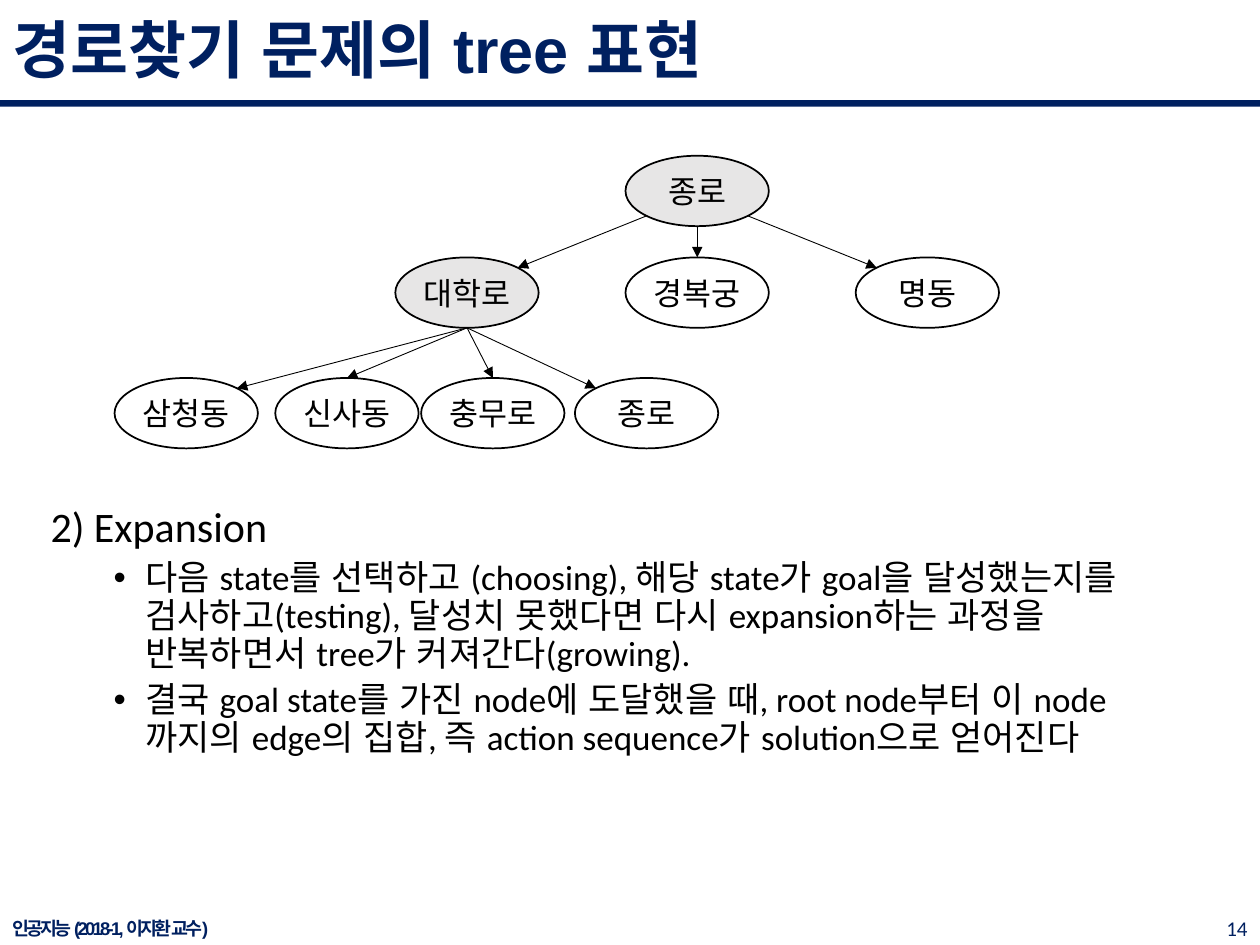
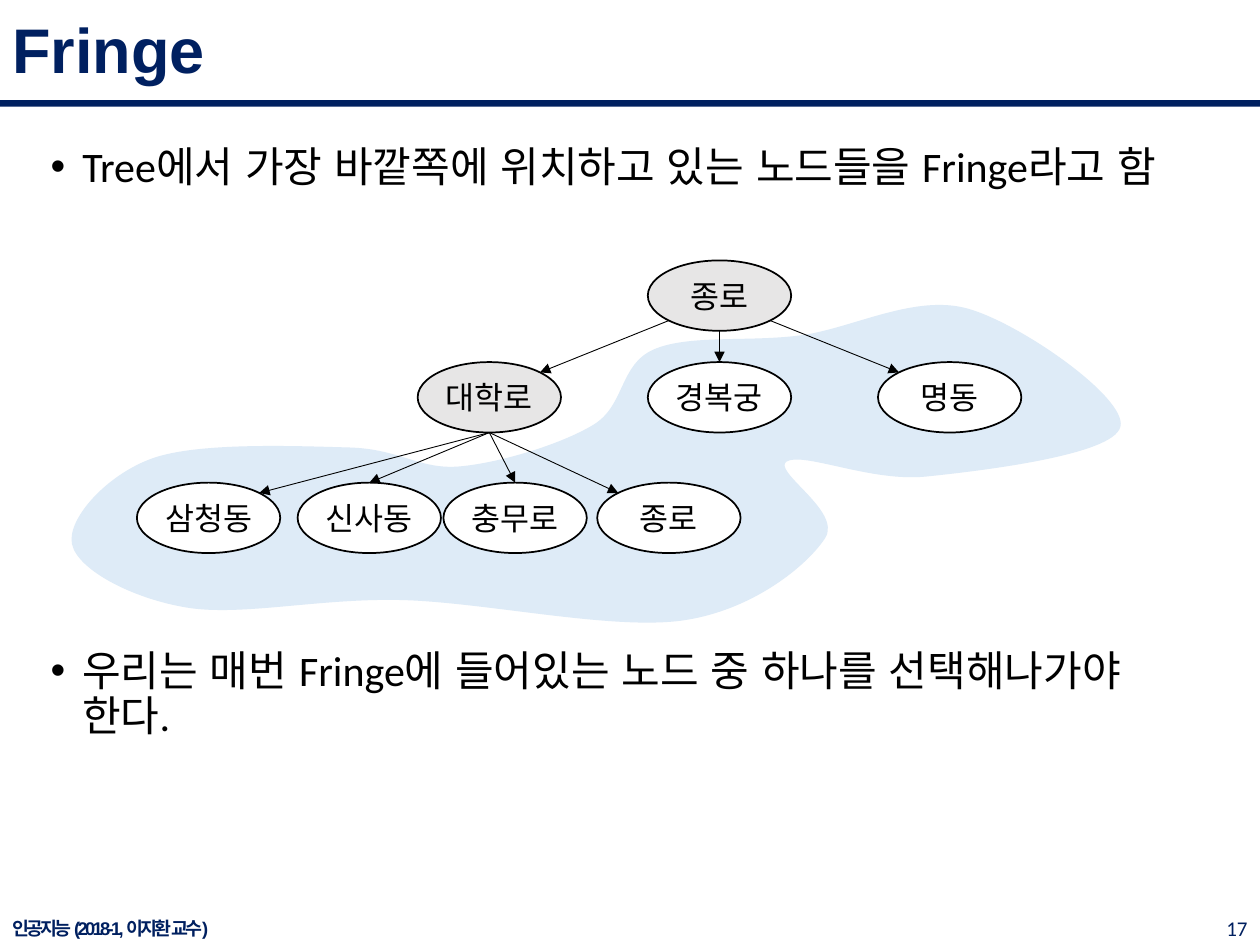
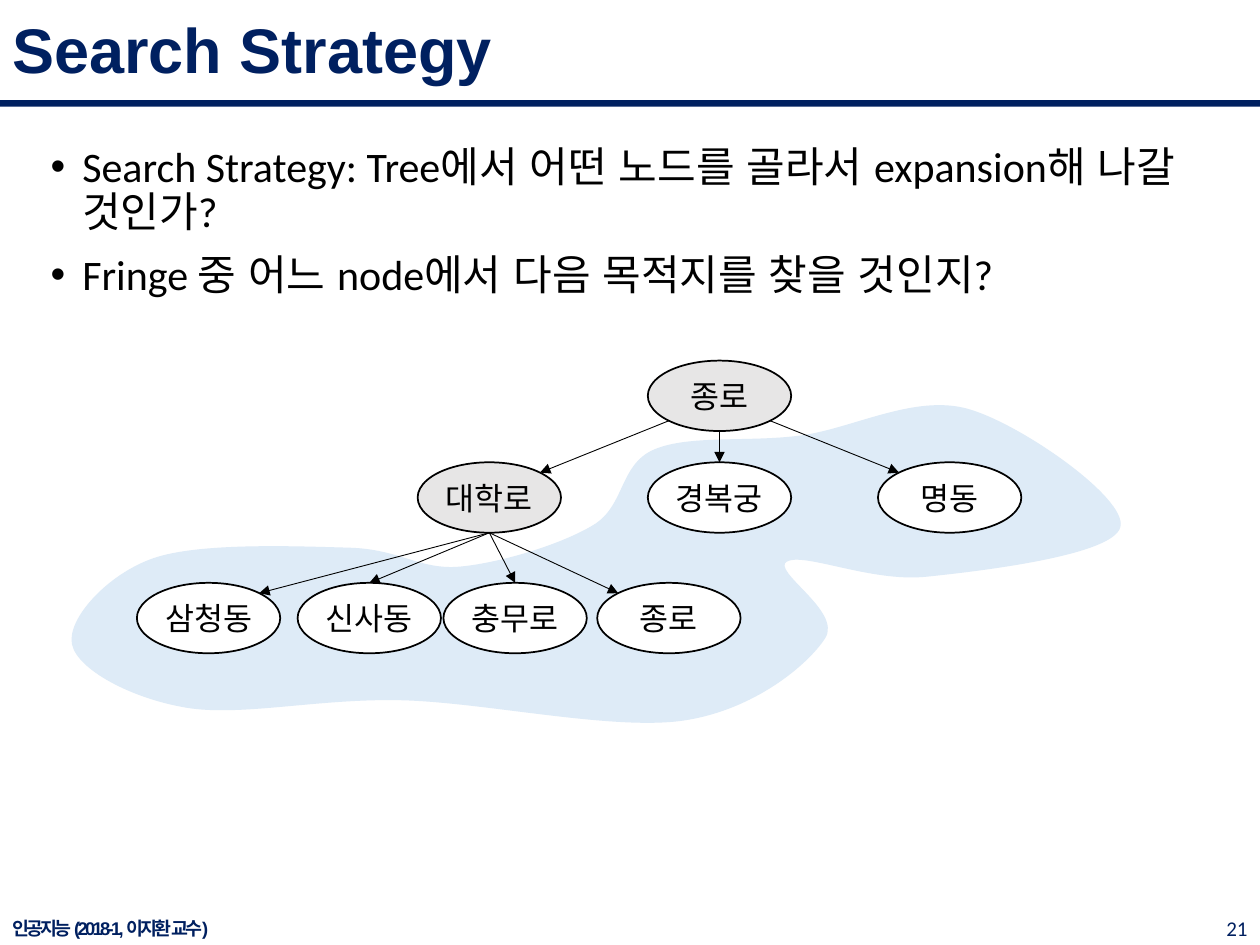
from math import cos, pi, sin

from lxml.etree import SubElement
from pptx import Presentation
from pptx.dml.color import RGBColor
from pptx.enum.lang import MSO_LANGUAGE_ID as Lang
from pptx.enum.shapes import MSO_CONNECTOR as Link, MSO_SHAPE as Shape
from pptx.enum.text import MSO_ANCHOR as Anchor, PP_ALIGN as Align
from pptx.oxml.ns import qn
from pptx.util import Cm, Pt

# Shared look
NAVY, BLACK, WHITE = "002060", "000000", "FFFFFF"
GREY, SKY = "E7E6E6", "DEEBF7"
HEAD, BODY = "Arial", "Calibri"
WIDE, HIGH = 25.4, 19.05
FOOT = "인공지능 (2018-1, 이지환 교수)"
FOOT_TOP, FOOT_HIGH = 18.39, 0.66

# Tree: name, left, top (cm from the tree's corner)
NODE_WIDE, NODE_HIGH = 2.89, 1.42
MID, LOW = 2.05, 4.48
NODES = [
    ("종로", 10.3, 0),
    ("대학로", 5.66, MID),
    ("경복궁", 10.3, MID),
    ("명동", 14.94, MID),
    ("삼청동", 0, LOW),
    ("신사동", 3.24, LOW),
    ("충무로", 6.18, LOW),
    ("종로", 9.28, LOW),
]
# Parent, its site, child, its site; sites run counterclockwise from the top
EDGES = [
    (0, 3, 1, 7), (0, 4, 2, 0), (0, 5, 3, 1),
    (1, 4, 4, 7), (1, 4, 5, 0), (1, 4, 6, 0), (1, 4, 7, 1),
]
OPENED = {start for start, *_ in EDGES}
# Knots of the closed curve around the fringe (cm from the tree's corner)
FRINGE = [
    (4.28, 3.79), (0.34, 4), (-1.29, 5.72), (1, 6.98), (5.35, 6.83),
    (11.01, 7.24), (13.86, 5.59), (13.09, 4.04), (15.91, 4.34),
    (19.81, 3.35), (16.75, 0.99), (13.37, 1.53), (10.43, 1.81),
    (9.21, 3.33), (6.52, 4.17),
]


def rgb(code):
    return RGBColor.from_string(code)


def paint(shape, fill, line=None):
    shape.shadow.inherit = False
    if fill:
        shape.fill.solid()
        shape.fill.fore_color.rgb = rgb(fill)
    else:
        shape.fill.background()
    if line:
        shape.line.color.rgb = rgb(line)
        shape.line.width = Pt(1)
    else:
        shape.line.fill.background()


def style(para, size, face=BODY, color=BLACK, bold=False):
    for run in para.runs:
        font = run.font
        font.size, font.name, font.bold = Pt(size), face, bold
        font.color.rgb = rgb(color)
        font.language_id = Lang.KOREAN


def add_text(slide, box, anchor=Anchor.MIDDLE):
    frame = slide.shapes.add_textbox(*map(Cm, box)).text_frame
    frame.word_wrap = True
    frame.vertical_anchor = anchor
    return frame


# Title, rule, footer and page number
def add_frame(slide, title, page):
    bar = slide.shapes.add_shape(
        Shape.RECTANGLE, 0, Cm(2.02), Cm(WIDE), Cm(0.13))
    paint(bar, NAVY)

    para = add_text(slide, (0, 0, WIDE, 2.16)).paragraphs[0]
    para.text = title
    para.line_spacing = 0.9
    style(para, 36, HEAD, NAVY, True)

    para = add_text(slide, (0, FOOT_TOP, 8.59, FOOT_HIGH)).paragraphs[0]
    para.text = FOOT
    para.alignment = Align.JUSTIFY
    style(para, 10.5, HEAD, NAVY, True)
    para.runs[0]._r.get_or_add_rPr().set("spc", "-150")

    para = add_text(slide, (19.69, FOOT_TOP, 5.71, FOOT_HIGH)).paragraphs[0]
    para.text = str(page)
    para.alignment = Align.RIGHT
    style(para, 12, BODY, NAVY)


# Body items: text, size, left margin (None for no bullet), space before
def add_body(slide, top, high, items):
    frame = add_text(slide, (0.77, top, 23.7, high), Anchor.TOP)
    for i, (text, size, left, gap) in enumerate(items):
        para = frame.add_paragraph() if i else frame.paragraphs[0]
        para.text = text
        para.line_spacing = 0.9
        para.space_before = Pt(gap)
        style(para, size)
        if left is not None:
            add_bullet(para, left)


def add_bullet(para, left):
    props = para._p.get_or_add_pPr()
    props.set("marL", str(Cm(left)))
    props.set("indent", str(-Cm(0.64)))
    SubElement(props, qn("a:buFont"), typeface=HEAD)
    SubElement(props, qn("a:buChar"), char="•")


# Tree parts
def add_node(slide, name, left, top, fill):
    node = slide.shapes.add_shape(
        Shape.OVAL, Cm(left), Cm(top), Cm(NODE_WIDE), Cm(NODE_HIGH))
    paint(node, fill, BLACK)
    frame = node.text_frame
    frame.margin_left = frame.margin_right = 0
    frame.vertical_anchor = Anchor.MIDDLE
    para = frame.paragraphs[0]
    para.text = name
    para.alignment = Align.CENTER
    style(para, 18)
    return node


def site_at(node, site):
    turn = site * pi / 4
    return (round(node.left + node.width * (1 - sin(turn)) / 2),
            round(node.top + node.height * (1 - cos(turn)) / 2))


def add_edge(slide, start, out, end, into):
    edge = slide.shapes.add_connector(
        Link.STRAIGHT, *site_at(start, out), *site_at(end, into))
    edge.line.color.rgb = rgb(BLACK)
    edge.line.width = Pt(0.5)
    props = edge.element.spPr
    SubElement(props.find(qn("a:ln")), qn("a:tailEnd"), type="triangle")
    SubElement(props, qn("a:effectLst"))
    # Ovals have eight sites, so the joints are set directly
    joints = edge.element.find(".//" + qn("p:cNvCxnSpPr"))
    for tag, node, site in (("a:stCxn", start, out), ("a:endCxn", end, into)):
        SubElement(joints, qn(tag), id=str(node.shape_id), idx=str(site))


def add_tree(slide, left, top, leaf=WHITE):
    nodes = [add_node(slide, name, left + x, top + y,
                      GREY if i in OPENED else leaf)
             for i, (name, x, y) in enumerate(NODES)]
    for start, out, end, into in EDGES:
        add_edge(slide, nodes[start], out, nodes[end], into)


# Closed outline, its straight sides turned into smooth Bezier curves
def add_fringe(slide, left, top):
    knots = [(Cm(left + x), Cm(top + y)) for x, y in FRINGE]
    pen = slide.shapes.build_freeform(*knots[0])
    pen.add_line_segments(knots[1:], close=True)
    blob = pen.convert_to_shape()
    paint(blob, SKY, SKY)

    route = blob.element.find(".//" + qn("a:path"))
    for side in route.findall(qn("a:lnTo")):
        route.remove(side)
    end = route.find(qn("a:close"))
    count = len(knots)
    for i in range(count):
        near = [knots[(i + k) % count] for k in (-1, 0, 1, 2)]
        curve = SubElement(route, qn("a:cubicBezTo"))
        bends = [(b + (c - a) / 6, c - (d - b) / 6, c)
                 for a, b, c, d in zip(*near)]
        for x, y in zip(*bends):
            SubElement(curve, qn("a:pt"), x=str(round(x - blob.left)),
                       y=str(round(y - blob.top)))
    route.append(end)


def main():
    deck = Presentation()
    deck.slide_width, deck.slide_height = Cm(WIDE), Cm(HIGH)

    def new_slide(title, page):
        slide = deck.slides.add_slide(deck.slide_layouts[6])
        add_frame(slide, title, page)
        return slide

    # Expansion
    slide = new_slide("경로찾기 문제의 tree 표현", 14)
    add_body(slide, 10.08, 6.68, [
        ("2) Expansion", 24, None, 10),
        ("다음 state를 선택하고 (choosing), 해당 state가 goal을 달성했는지를 "
         "검사하고(testing), 달성치 못했다면 다시 expansion하는 과정을 "
         "반복하면서 tree가 커져간다(growing).", 20, 1.91, 5),
        ("결국 goal state를 가진 node에 도달했을 때, root node부터 이 "
         "node까지의 edge의 집합, 즉 action sequence가 solution으로 "
         "얻어진다", 20, 1.91, 5),
    ])
    add_tree(slide, 2.31, 3.14, leaf=None)

    # Fringe
    slide = new_slide("Fringe", 17)
    add_fringe(slide, 2.76, 5.25)
    add_body(slide, 2.82, 14.17, [
        ("Tree에서 가장 바깥쪽에 위치하고 있는 노드들을 Fringe라고 함",
         24, 0.64, 10),
        ("우리는 매번 Fringe에 들어있는 노드 중 하나를 선택해나가야 한다.",
         24, 0.64, 262),
    ])
    add_tree(slide, 2.76, 5.25)

    # Search strategy
    slide = new_slide("Search Strategy", 21)
    add_body(slide, 2.82, 14.17, [
        ("Search Strategy: Tree에서 어떤 노드를 골라서 expansion해 "
         "나갈 것인가?", 24, 0.64, 10),
        ("Fringe 중 어느 node에서 다음 목적지를 찾을 것인지?",
         24, 0.64, 10),
    ])
    add_fringe(slide, 2.76, 7.27)
    add_tree(slide, 2.76, 7.27)

    deck.save("out.pptx")


if __name__ == "__main__":
    main()
